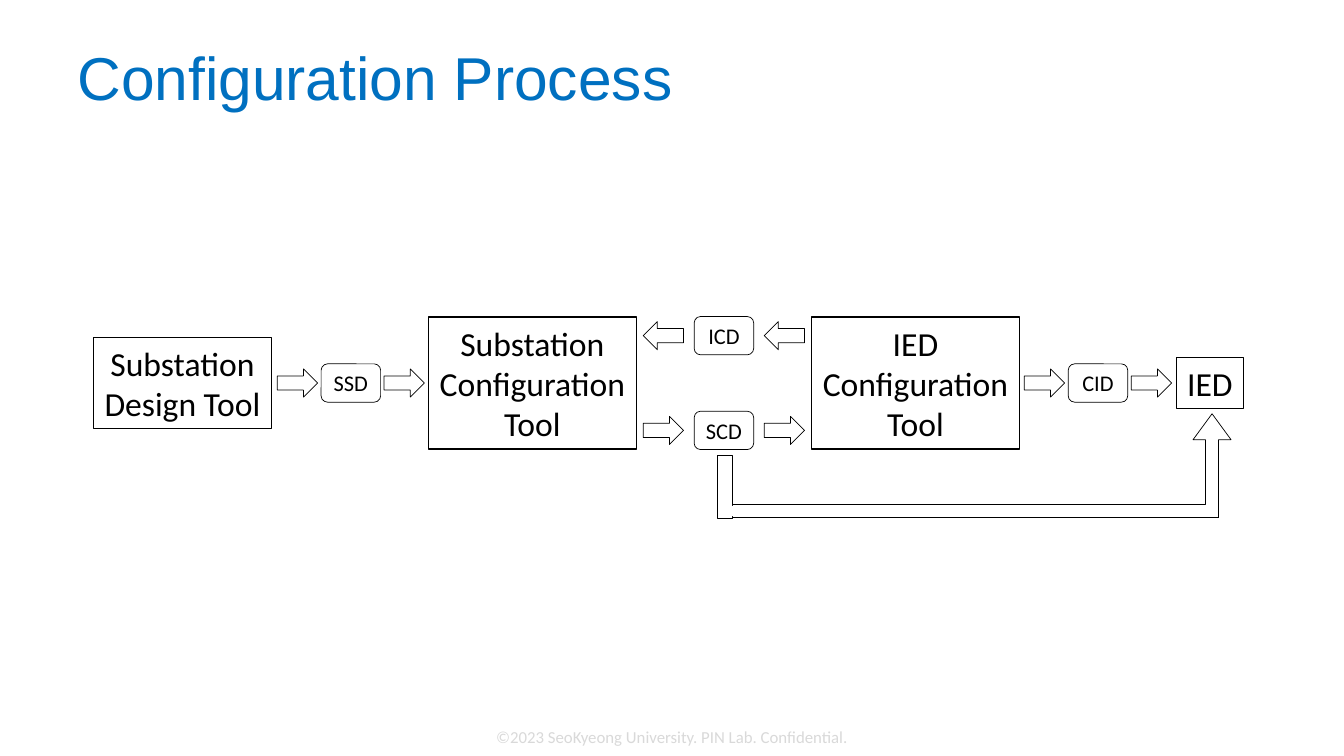
from pptx import Presentation, util as u
from pptx.dml.color import RGBColor
from pptx.enum import shapes, text

BLUE = RGBColor(0x00, 0x70, 0xC0)
BLACK = RGBColor(0, 0, 0)
WHITE = RGBColor(0xFF, 0xFF, 0xFF)
GREY = RGBColor(0xD9, 0xD9, 0xD9)
KIND = shapes.MSO_SHAPE

# Content: centres and sizes in inches
TITLE = "Configuration Process"
FOOTER = "©2023 SeoKyeong University. PIN Lab. Confidential."
SLIDE_W, SLIDE_H = 13.33, 7.5
MIDDLE, UPPER, LOWER = 3.8, 3.33, 4.27
TOOLS = [  # lines, centre x, width, height
    (["Substation", "Design Tool"], 1.81, 1.76, 0.91),
    (["Substation", "Configuration", "Tool"], 5.28, 2.06, 1.31),
    (["IED", "Configuration", "Tool"], 9.08, 2.06, 1.31),
    (["IED"], 12.0, 0.66, 0.5),
]
FILES = [  # name, centre x, centre y, distance to its arrows, direction
    ("SSD", 3.48, MIDDLE, 0.53, "right"),
    ("ICD", 7.18, UPPER, 0.6, "left"),
    ("SCD", 7.18, LOWER, 0.6, "right"),
    ("CID", 10.89, MIDDLE, 0.53, "right"),
]
FILE_SIZE = 0.59, 0.38
ARROW_SIZE = 0.4, 0.28
ARROWS = {"right": KIND.RIGHT_ARROW, "left": KIND.LEFT_ARROW}

deck = Presentation()
deck.slide_width, deck.slide_height = u.Inches(SLIDE_W), u.Inches(SLIDE_H)
slide = deck.slides.add_slide(deck.slide_layouts[6])


def write(frame, lines, size, font, colour, align=text.PP_ALIGN.CENTER):
    frame.vertical_anchor = text.MSO_ANCHOR.MIDDLE
    for i, line in enumerate(lines):
        paragraph = frame.paragraphs[0] if i == 0 else frame.add_paragraph()
        paragraph.text = line
        paragraph.alignment = align
        paragraph.font.size = u.Pt(size)
        paragraph.font.name = font
        paragraph.font.color.rgb = colour


def label(line, left, top, width, height, *style):
    box = slide.shapes.add_textbox(*map(u.Inches, (left, top, width, height)))
    box.text_frame.word_wrap = True
    write(box.text_frame, [line], *style)
    return box.text_frame.paragraphs[0]


def outline(kind, x, y, width, height, line=0.5, fill=None):
    """Add a shape centred on x, y."""
    shape = slide.shapes.add_shape(
        kind, *map(u.Inches, (x - width / 2, y - height / 2, width, height)))
    shape.shadow.inherit = False
    if fill is None:
        shape.fill.background()
    else:
        shape.fill.solid()
        shape.fill.fore_color.rgb = fill
    if line:
        shape.line.color.rgb = BLACK
        shape.line.width = u.Pt(line)
    else:
        shape.line.fill.background()
    shape.text_frame.word_wrap = False
    return shape


# Footer and title
label(FOOTER, (SLIDE_W - 4.59) / 2, 7.16, 4.59, 0.3, 12, "Calibri", GREY)
heading = label(TITLE, 0.67, 0.3, 12, 1.03, 43.2, "Arial", BLUE,
                text.PP_ALIGN.LEFT)
heading.line_spacing = u.Pt(43.2)

# Tools
for lines, x, width, height in TOOLS:
    tool = outline(KIND.RECTANGLE, x, MIDDLE, width, height, line=0.75)
    write(tool.text_frame, lines, 24, "Calibri", BLACK)

# Files, each between two arrows
for name, x, y, reach, direction in FILES:
    file_box = outline(KIND.ROUNDED_RECTANGLE, x, y, *FILE_SIZE)
    write(file_box.text_frame, [name], 16, "Calibri", BLACK)
    for side in (-reach, reach):
        outline(ARROWS[direction], x + side, y, *ARROW_SIZE)

# Path from SCD to the IED: bent arrow, stem, and a patch over their joint
bent = outline(KIND.BENT_UP_ARROW, 9.69, 4.62, 5.04, 1.03)
for i, share in enumerate((0.126, 0.183, 0.25)):
    bent.adjustments[i] = share
outline(KIND.RECTANGLE, 7.19, 4.83, 0.14, 0.62, fill=WHITE)
outline(KIND.RECTANGLE, 7.4, 5.07, 0.46, 0.1, line=0, fill=WHITE)

deck.save("out.pptx")
